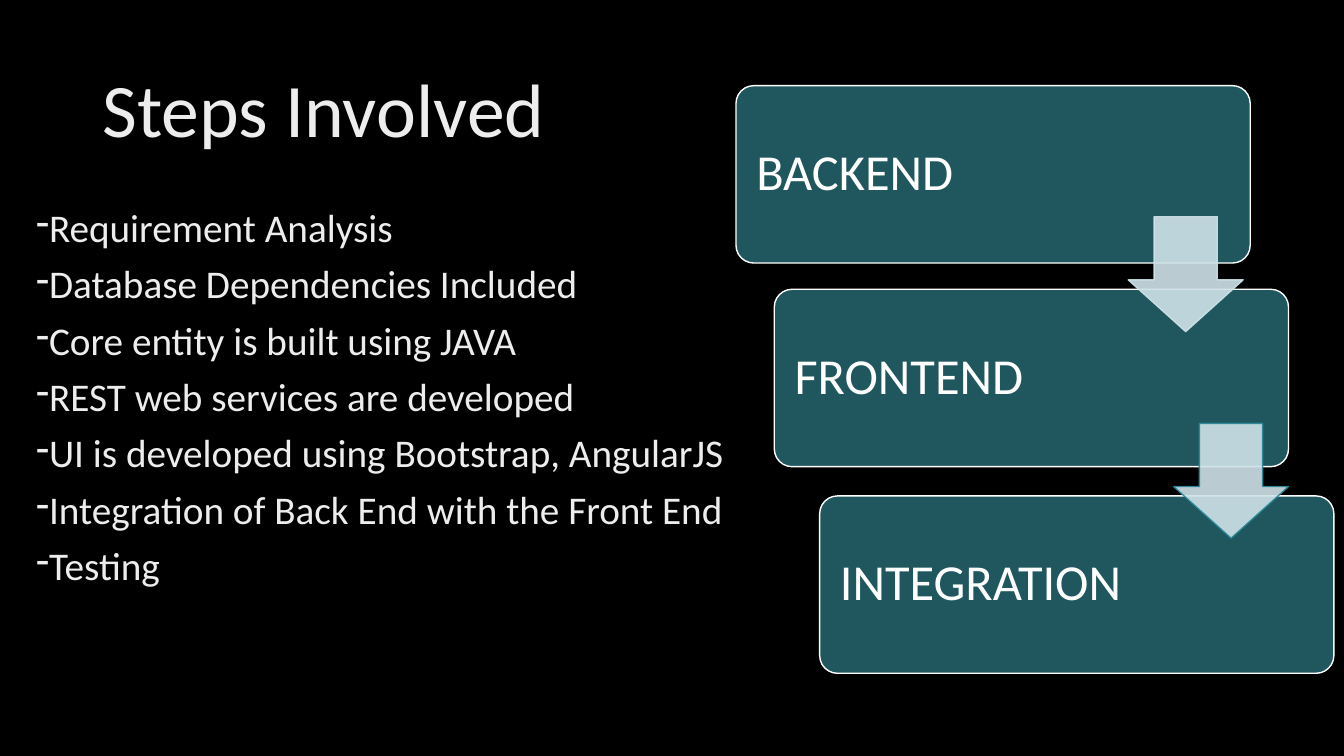
from typing import NamedTuple

from lxml import etree
from pptx import Presentation
from pptx.dml.color import RGBColor
from pptx.enum import shapes, text
from pptx.oxml import ns
from pptx.util import Inches, Pt

COLORS = {
    "background": "000000",
    "text": "EDEDED",
    "card": "20575E",
    "white": "FFFFFF",
    "arrow": "CFE3E8",
    "arrow_edge": "268496",
}
FONT = "Calibri"
CARD_WIDTH, CARD_HEIGHT = 5.1, 1.76
ARROW_SIZE = 1.14
ARROW_DX, ARROW_DY = 3.51, -0.72  # from the corner of the card it points to


class Stage(NamedTuple):
    label: str
    left: float
    top: float
    arrow_edge: str = ""  # edge colour of the arrow leading here, if any


STAGES = [
    Stage("BACKEND", 7.3, 0.85),
    Stage("FRONTEND", 7.68, 2.87, "arrow"),
    Stage("INTEGRATION", 8.13, 4.92, "arrow_edge"),
]
TASKS = [
    "Requirement Analysis",
    "Database Dependencies Included",
    "Core entity is built using JAVA",
    "REST web services are developed",
    "UI is developed using Bootstrap, AngularJS",
    "Integration of Back End with the Front End",
    "Testing",
]


def rgb(name: str) -> RGBColor:
    return RGBColor.from_string(COLORS[name])


def style_paragraph(paragraph, size: float, color: str) -> None:
    paragraph.alignment = text.PP_ALIGN.LEFT
    paragraph.line_spacing = 0.9
    paragraph.font.name = FONT
    paragraph.font.size = Pt(size)
    paragraph.font.color.rgb = rgb(color)


def add_dash(paragraph) -> None:
    """Give the paragraph a dash bullet with the text right after it."""
    properties = paragraph._p.get_or_add_pPr()
    properties.set("marL", "0")
    properties.set("indent", "0")
    bullet = etree.Element(ns.qn("a:buChar"), char="-")
    properties.insert_element_before(bullet, "a:tabLst", "a:defRPr", "a:extLst")


def make_translucent(fill_parent, percent: int) -> None:
    for color in fill_parent.iter(ns.qn("a:srgbClr")):
        etree.SubElement(color, ns.qn("a:alpha"), val=str(percent * 1000))


def add_title(slide) -> None:
    frame = slide.shapes.add_textbox(
        Inches(0.92), Inches(0.4), Inches(11.5), Inches(1.45)
    ).text_frame
    frame.word_wrap = True
    frame.vertical_anchor = text.MSO_ANCHOR.MIDDLE
    frame.text = "Steps Involved"
    style_paragraph(frame.paragraphs[0], 54, "text")


def add_tasks(slide) -> None:
    frame = slide.shapes.add_textbox(
        Inches(0.26), Inches(2.02), Inches(7.61), Inches(4.76)
    ).text_frame
    frame.word_wrap = True
    frame.text = "\n".join(TASKS)
    for paragraph in frame.paragraphs:
        style_paragraph(paragraph, 28, "text")
        paragraph.space_before = Pt(10)
        add_dash(paragraph)


def add_card(slide, stage: Stage) -> None:
    card = slide.shapes.add_shape(
        shapes.MSO_SHAPE.ROUNDED_RECTANGLE,
        Inches(stage.left), Inches(stage.top),
        Inches(CARD_WIDTH), Inches(CARD_HEIGHT),
    )
    card.adjustments[0] = 0.1
    card.shadow.inherit = False
    card.fill.solid()
    card.fill.fore_color.rgb = rgb("card")
    card.line.color.rgb = rgb("white")
    card.line.width = Pt(1)
    frame = card.text_frame
    frame.margin_left = frame.margin_right = Inches(0.15)
    frame.vertical_anchor = text.MSO_ANCHOR.MIDDLE
    frame.text = stage.label
    style_paragraph(frame.paragraphs[0], 36, "white")


def add_arrow_to(slide, stage: Stage) -> None:
    arrow = slide.shapes.add_shape(
        shapes.MSO_SHAPE.DOWN_ARROW,
        Inches(stage.left + ARROW_DX), Inches(stage.top + ARROW_DY),
        Inches(ARROW_SIZE), Inches(ARROW_SIZE),
    )
    arrow.adjustments[0] = 0.55
    arrow.adjustments[1] = 0.45
    arrow.shadow.inherit = False
    arrow.fill.solid()
    arrow.fill.fore_color.rgb = rgb("arrow")
    arrow.line.color.rgb = rgb(stage.arrow_edge)
    arrow.line.width = Pt(1)
    make_translucent(arrow._element.spPr, 90)


def main() -> None:
    deck = Presentation()
    deck.slide_width, deck.slide_height = Inches(13.33), Inches(7.5)
    slide = deck.slides.add_slide(deck.slide_layouts[6])
    slide.background.fill.solid()
    slide.background.fill.fore_color.rgb = rgb("background")

    add_title(slide)
    add_tasks(slide)
    for stage in STAGES:
        add_card(slide, stage)
    for stage in STAGES[1:]:
        add_arrow_to(slide, stage)
    deck.save("out.pptx")


if __name__ == "__main__":
    main()
